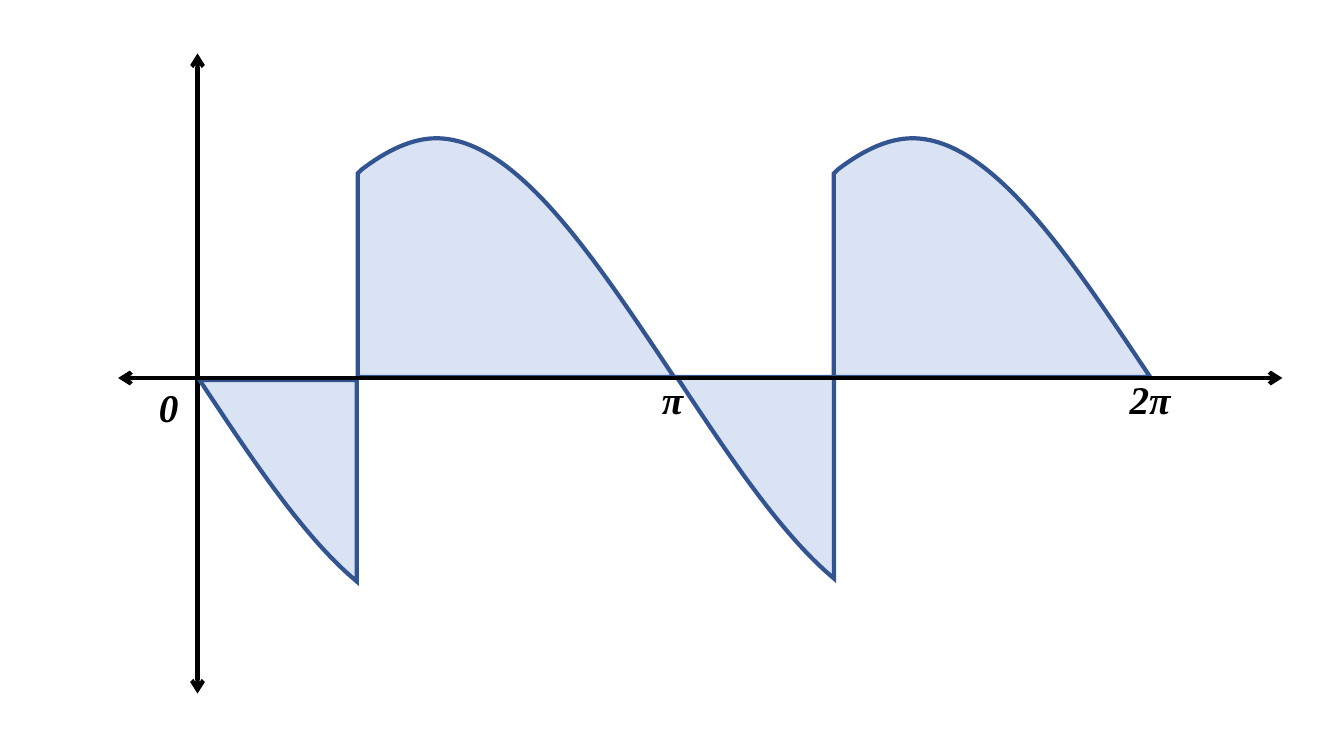
from dataclasses import dataclass

from lxml.etree import SubElement
from pptx import Presentation
from pptx.dml.color import RGBColor
from pptx.enum.shapes import MSO_CONNECTOR
from pptx.enum.text import MSO_AUTO_SIZE, PP_ALIGN
from pptx.oxml.ns import qn
from pptx.util import Pt


@dataclass(frozen=True)
class Theme:
    ink: RGBColor = RGBColor(0x00, 0x00, 0x00)
    area: RGBColor = RGBColor(0xDA, 0xE3, 0xF3)
    outline: RGBColor = RGBColor(0x32, 0x54, 0x91)
    font: str = "Times New Roman"
    label_size: float = 28
    line_width: float = 3


class WavePainter:
    def __init__(self, page, theme):
        self.page = page
        self.theme = theme

    def axis(self, start, end):
        """A black line with an arrowhead at both ends."""
        line = self.page.shapes.add_connector(
            MSO_CONNECTOR.STRAIGHT, *(Pt(value) for value in (*start, *end)))
        line.line.color.rgb = self.theme.ink
        line.line.width = Pt(self.theme.line_width)
        outline = line.line._get_or_add_ln()
        for tag in ("a:headEnd", "a:tailEnd"):
            SubElement(outline, qn(tag)).set("type", "arrow")
        SubElement(line._element.spPr, qn("a:effectLst"))

    def label(self, text, left, top):
        box = self.page.shapes.add_textbox(Pt(left), Pt(top), Pt(72), Pt(41.2))
        box.text_frame.word_wrap = True
        box.text_frame.auto_size = MSO_AUTO_SIZE.SHAPE_TO_FIT_TEXT
        para = box.text_frame.paragraphs[0]
        para.alignment = PP_ALIGN.CENTER
        span = para.add_run()
        span.text = text
        span.font.name = self.theme.font
        span.font.size = Pt(self.theme.label_size)
        span.font.bold = True
        span.font.italic = True
        span.font.color.rgb = self.theme.ink

    def area(self, segments, left, baseline):
        """A filled outline: one point makes a line, three make a curve."""
        placed = [(Pt(left + x), Pt(baseline + y))
                  for segment in segments for x, y in segment]
        builder = self.page.shapes.build_freeform(*placed[0])
        builder.add_line_segments(placed[1:], close=True)
        shape = builder.convert_to_shape()
        self.bend(shape, segments[1:])
        shape.shadow.inherit = False
        shape.fill.solid()
        shape.fill.fore_color.rgb = self.theme.area
        shape.line.color.rgb = self.theme.outline
        shape.line.width = Pt(self.theme.line_width)
        SubElement(shape.line._get_or_add_ln(), qn("a:miter")).set("lim", "800000")

    def bend(self, shape, segments):
        """Join each group of three line steps into one cubic curve."""
        steps = iter(list(shape._element.iter(qn("a:lnTo"))))
        for segment in segments:
            group = [next(steps) for _ in segment]
            if len(group) == 3:
                outline = group[0].getparent()
                curve = SubElement(outline, qn("a:cubicBezTo"))
                outline.replace(group[0], curve)
                for step in group:
                    curve.append(step[0])
                for step in group[1:]:
                    outline.remove(step)


def main():
    deck = Presentation()
    deck.slide_width, deck.slide_height = Pt(960), Pt(540)
    page = deck.slides.add_slide(deck.slide_layouts[6])
    painter = WavePainter(page, Theme())

    # Vertical axis and labels
    painter.axis((141.1, 495.4), (141.1, 38.2))
    for text, left, top in (("2π", 785.5, 264.7), ("π", 444.5, 264.7), ("0", 84.5, 270)):
        painter.label(text, left, top)

    # Areas above the axis
    peak = (56.2, -170.6)
    arch = [[peak], [(113, -170.6), (169.2, -85), (226, 0)],
            [(0, 0)], [(0, -145.4)], [(2.9, -148.3)],
            [(20.9, -162), (38.9, -170.6), peak]]
    for left in (595.6, 255.5):
        painter.area(arch, left, 269.4)

    # Areas below the axis
    lobe = [[(112.4, 144)], [(112.4, 0)], [(0, 0)],
            [(35.3, 53.3), (70.6, 106.6), (106.6, 139)]]
    for left, baseline in ((142.5, 271.4), (483.4, 269.3)):
        painter.area(lobe, left, baseline)

    # Horizontal axis on top
    painter.axis((916, 270), (84.4, 270))
    deck.save("out.pptx")


if __name__ == "__main__":
    main()
